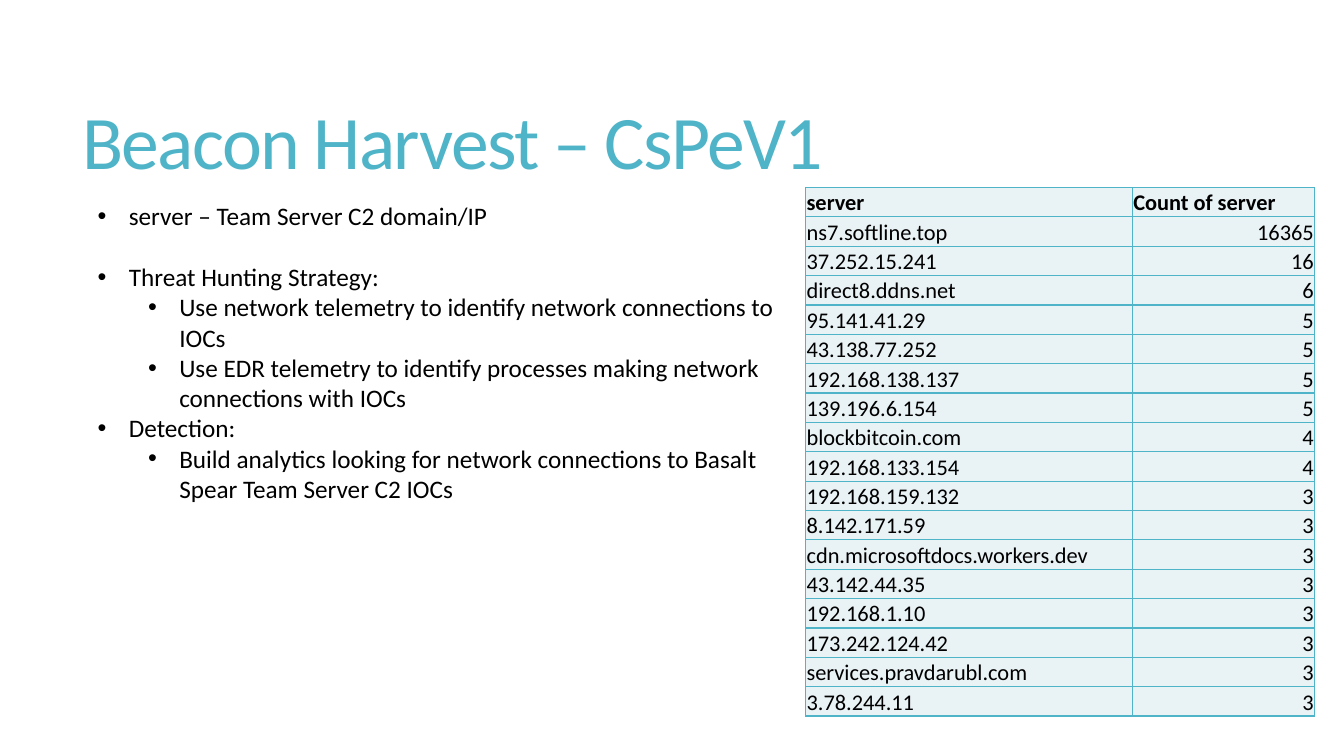
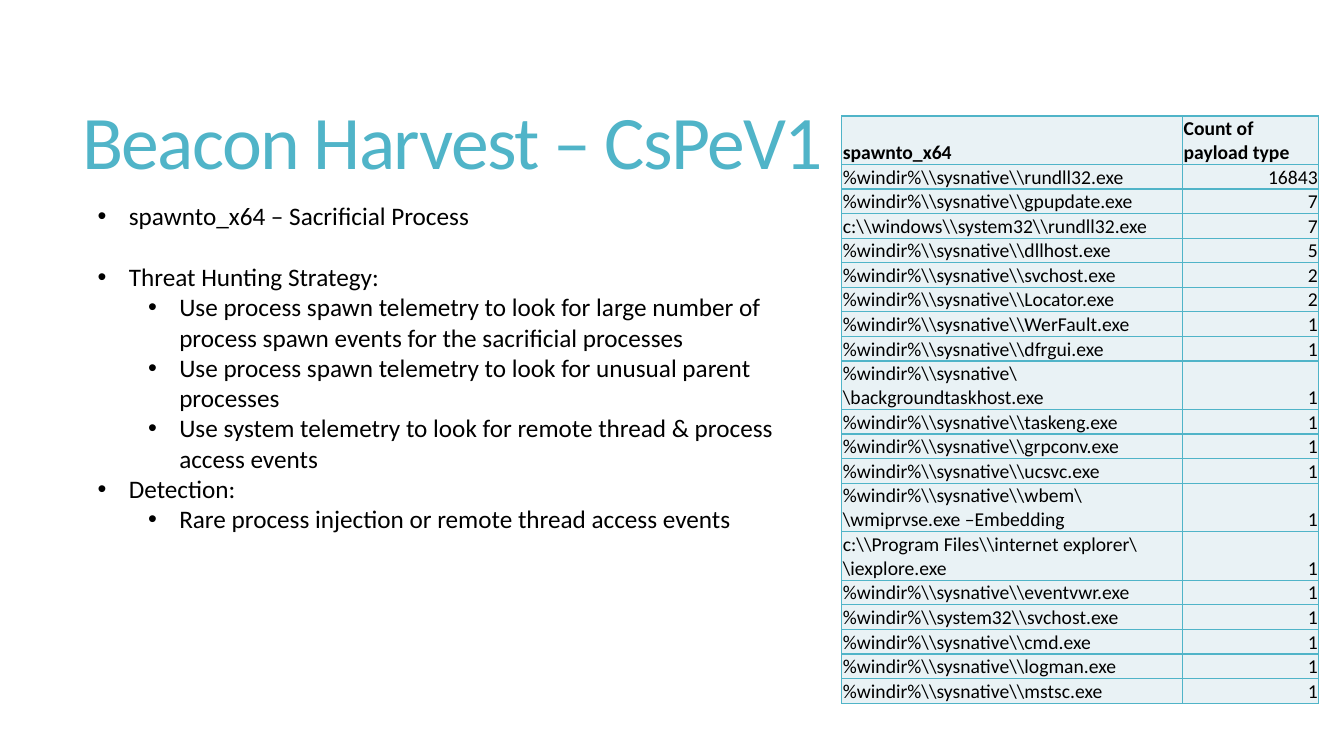
"""Build two Beacon Harvest slides, each with hunting notes and a count table."""
from lxml import etree
from pptx import Presentation
from pptx.dml.color import RGBColor
from pptx.enum.text import MSO_ANCHOR, MSO_AUTO_SIZE, PP_ALIGN
from pptx.oxml.ns import qn
from pptx.util import Pt

PX = 9144
FACE = "Calibri"
INK = {"title": "50B4C8", "text": "000000", "line": "50B4C8", "cell": "E9F2F5"}
TITLE = "Beacon Harvest – CsPeV1"
MIDDLE, BOTTOM = MSO_ANCHOR.MIDDLE, MSO_ANCHOR.BOTTOM
LEFT, RIGHT = PP_ALIGN.LEFT, PP_ALIGN.RIGHT
GROW = MSO_AUTO_SIZE.SHAPE_TO_FIT_TEXT

PAGES = [
    {
        "notes": [
            (0, "server – Team Server C2 domain/IP"),
            (0, "Threat Hunting Strategy:"),
            (1, "Use network telemetry to identify network connections to IOCs"),
            (1, "Use EDR telemetry to identify processes making network connections with IOCs"),
            (0, "Detection:"),
            (1, "Build analytics looking for network connections to Basalt Spear Team Server C2 IOCs"),
        ],
        "deep": 313,
        "spot": (799, 186),
        "cols": (324, 181),
        "high": 525,
        "size": 16,
        "tall": (),
        "rows": [
            ("server", "Count of server"),
            ("ns7.softline.top", 16365),
            ("37.252.15.241", 16),
            ("direct8.ddns.net", 6),
            ("95.141.41.29", 5),
            ("43.138.77.252", 5),
            ("192.168.138.137", 5),
            ("139.196.6.154", 5),
            ("blockbitcoin.com", 4),
            ("192.168.133.154", 4),
            ("192.168.159.132", 3),
            ("8.142.171.59", 3),
            ("cdn.microsoftdocs.workers.dev", 3),
            ("43.142.44.35", 3),
            ("192.168.1.10", 3),
            ("173.242.124.42", 3),
            ("services.pravdarubl.com", 3),
            ("3.78.244.11", 3),
        ],
    },
    {
        "notes": [
            (0, "spawnto_x64 – Sacrificial Process"),
            (0, "Threat Hunting Strategy:"),
            (1, "Use process spawn telemetry to look for large number of process spawn events "
                "for the sacrificial processes"),
            (1, "Use process spawn telemetry to look for unusual parent processes"),
            (1, "Use system telemetry to look for remote thread & process access events"),
            (0, "Detection:"),
            (1, "Rare process injection or remote thread access events"),
        ],
        "deep": 343,
        "spot": (835, 115),
        "cols": (338, 135),
        "high": 578,
        "size": 14,
        "tall": (0, 9, 13, 14),
        "rows": [
            ("spawnto_x64", "Count of payload type"),
            (r"%windir%\\sysnative\\rundll32.exe", 16843),
            (r"%windir%\\sysnative\\gpupdate.exe", 7),
            (r"c:\\windows\\system32\\rundll32.exe", 7),
            (r"%windir%\\sysnative\\dllhost.exe", 5),
            (r"%windir%\\sysnative\\svchost.exe", 2),
            (r"%windir%\\sysnative\\Locator.exe", 2),
            (r"%windir%\\sysnative\\WerFault.exe", 1),
            (r"%windir%\\sysnative\\dfrgui.exe", 1),
            (r"%windir%\\sysnative\\backgroundtaskhost.exe", 1),
            (r"%windir%\\sysnative\\taskeng.exe", 1),
            (r"%windir%\\sysnative\\grpconv.exe", 1),
            (r"%windir%\\sysnative\\ucsvc.exe", 1),
            (r"%windir%\\sysnative\\wbem\\wmiprvse.exe –Embedding", 1),
            (r"c:\\Program Files\\internet explorer\\iexplore.exe", 1),
            (r"%windir%\\sysnative\\eventvwr.exe", 1),
            (r"%windir%\\system32\\svchost.exe", 1),
            (r"%windir%\\sysnative\\cmd.exe", 1),
            (r"%windir%\\sysnative\\logman.exe", 1),
            (r"%windir%\\sysnative\\mstsc.exe", 1),
        ],
    },
]


def style(para, size, tone, bold=False):
    """Set the font of a whole paragraph."""
    font = para.font
    font.name, font.size, font.bold = FACE, Pt(size), bold
    font.color.rgb = RGBColor.from_string(INK[tone])


def frame(slide, *box):
    """Add a wrapping text box and return its text frame."""
    text = slide.shapes.add_textbox(*(n * PX for n in box)).text_frame
    text.word_wrap = True
    return text


deck = Presentation()
deck.slide_width, deck.slide_height = 1333 * PX, 750 * PX

for page in PAGES:
    slide = deck.slides.add_slide(deck.slide_layouts[6])

    head = frame(slide, 72, 55, 1178, 181)
    head.vertical_anchor = MIDDLE
    para = head.paragraphs[0]
    para.line_spacing = 0.85
    run = para.add_run()
    run.text = TITLE
    run._r.get_or_add_rPr().set("spc", "-120")
    style(para, 54, "title")

    body = frame(slide, 87, 194, 706, page["deep"])
    body.auto_size = GROW
    for i, (level, note) in enumerate(page["notes"]):
        para = body.paragraphs[0] if i == 0 else body.add_paragraph()
        para.text = note
        para.level = level
        if i == 1:
            para.space_before = Pt(22)
        props = para._p.get_or_add_pPr()
        props.set("marL", str((31 + 50 * level) * PX))
        props.set("indent", str(-31 * PX))
        etree.SubElement(props, qn("a:buFont"), typeface="Arial")
        etree.SubElement(props, qn("a:buChar"), char="•")
        style(para, 18, "text")

    rows, cols = page["rows"], page["cols"]
    left, top = page["spot"]
    box = (left, top, sum(cols), page["high"])
    grid = slide.shapes.add_table(len(rows), len(cols), *(n * PX for n in box)).table
    grid.first_row = grid.horz_banding = False
    for col, wide in zip(grid.columns, cols):
        col.width = wide * PX
    unit = page["high"] * PX // (len(rows) + len(page["tall"]))
    for r, row in enumerate(rows):
        grid.rows[r].height = unit * (2 if r in page["tall"] else 1)
        for c, value in enumerate(row):
            cell = grid.cell(r, c)
            cell.margin_left = cell.margin_right = cell.margin_top = PX
            cell.margin_bottom = 0
            cell.vertical_anchor = BOTTOM
            props = cell._tc.get_or_add_tcPr()
            for side in "LRTB":
                edge = etree.SubElement(props, qn("a:ln" + side), w=str(Pt(1)))
                fill = etree.SubElement(edge, qn("a:solidFill"))
                etree.SubElement(fill, qn("a:srgbClr"), val=INK["line"])
            cell.fill.solid()
            cell.fill.fore_color.rgb = RGBColor.from_string(INK["cell"])
            para = cell.text_frame.paragraphs[0]
            para.text = str(value)
            para.alignment = RIGHT if r and c else LEFT
            style(para, page["size"], "text", r == 0)

deck.save("out.pptx")
